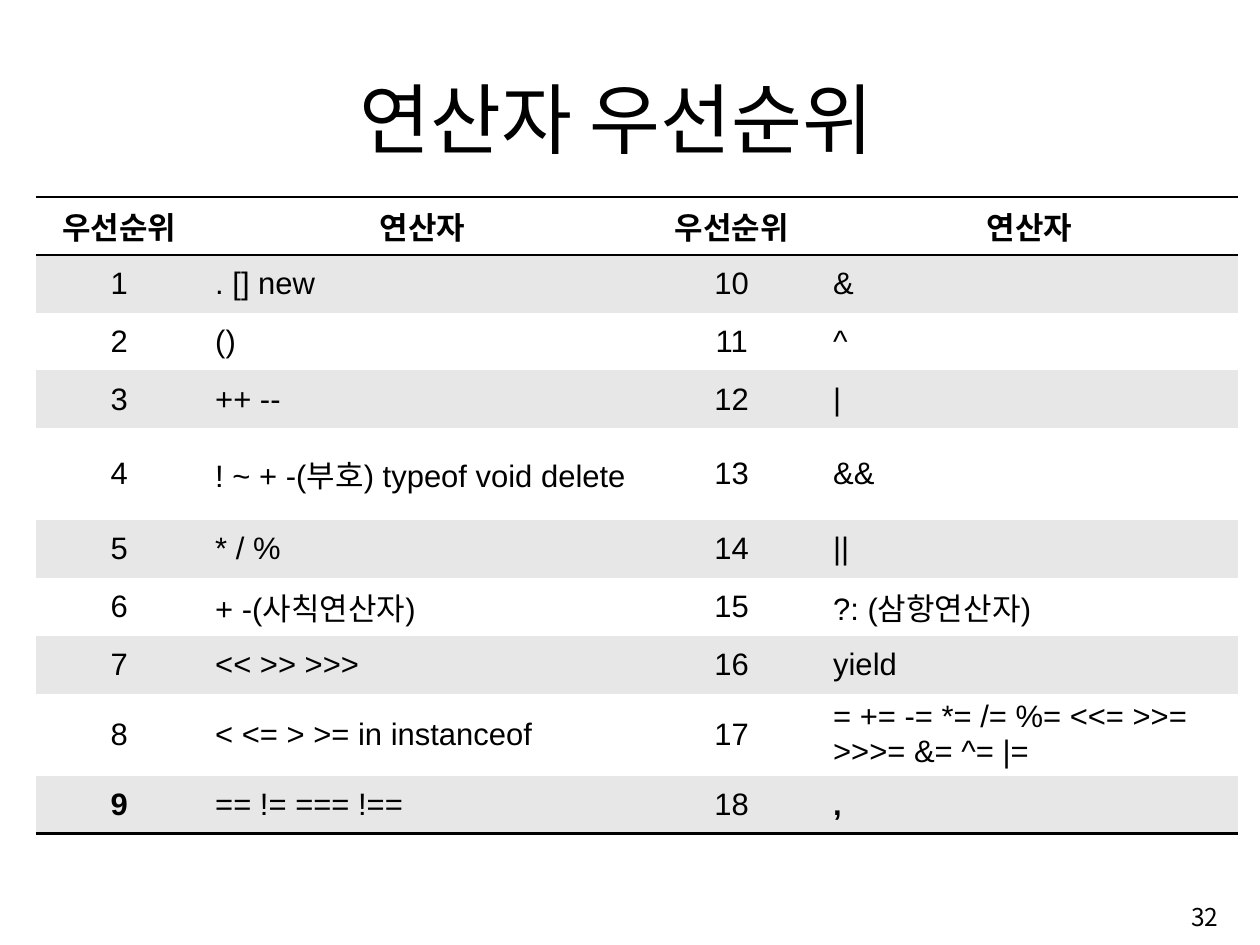
import lxml.etree
import pptx
import pptx.dml.color
import pptx.enum.text
import pptx.oxml.ns
import pptx.util

Pt = pptx.util.Pt
Align = pptx.enum.text.PP_ALIGN
Anchor = pptx.enum.text.MSO_ANCHOR
qn = pptx.oxml.ns.qn

KOREAN = "Noto Sans CJK KR"
BLACK, WHITE, GREY = "000000", "FFFFFF", "E7E7E7"
PLAIN_TABLE = "{2D5ABB26-0587-4C30-8999-92F81FD0307C}"

TITLE = "연산자 우선순위"
PAGE_NUMBER = "32"
HEADER = ["우선순위", "연산자"] * 2
OPERATORS = [
    ". [] new", "()", "++ --", "! ~ + -(부호) typeof void delete", "* / %",
    "+ -(사칙연산자)", "<< >> >>>", "< <= > >= in instanceof", "== != === !==",
    "&", "^", "|", "&&", "||",
    "?: (삼항연산자)", "yield", "= += -= *= /= %= <<= >>= >>>= &= ^= |=", ",",
]
BOLD_ENTRIES = {"9", ","}
COLUMN_WIDTHS = [123.8, 326.9, 131.8, 310.3]
ROW_HEIGHT = 42.9
TALL_ROWS = {4: 68.3, 8: 60.9}


def color(value):
    return pptx.dml.color.RGBColor.from_string(value)


def write(frame, text, size, align, latin=KOREAN, bold=False):
    para = frame.paragraphs[0]
    para.text = text
    para.alignment = align
    font = para.font
    font.size, font.bold = Pt(size), bold
    font.color.rgb = color(BLACK)
    font.name = latin
    defaults = para._p.pPr.find(qn("a:defRPr"))
    lxml.etree.SubElement(defaults, qn("a:ea"), typeface=KOREAN)


def add_borders(cell, sides):
    """Draw black 2 pt lines on the given sides, in the order T, B."""
    properties = cell._tc.get_or_add_tcPr()
    for index, side in enumerate(sides):
        line = lxml.etree.Element(qn(f"a:ln{side}"), w=str(Pt(2)))
        fill = lxml.etree.SubElement(line, qn("a:solidFill"))
        lxml.etree.SubElement(fill, qn("a:srgbClr"), val=BLACK)
        properties.insert(index, line)


def add_title(page):
    title = page.shapes.title
    title.left, title.top, title.width, title.height = map(Pt, (75.6, 43.9, 763.9, 77.8))
    frame = title.text_frame
    frame.auto_size = pptx.enum.text.MSO_AUTO_SIZE.NONE
    frame.vertical_anchor = Anchor.BOTTOM
    frame.margin_top = frame.margin_bottom = 0
    write(frame, TITLE, 57.2, Align.CENTER)


def add_operator_table(page):
    half = len(OPERATORS) // 2
    rows = [HEADER] + [
        [str(rank), OPERATORS[rank - 1], str(rank + half), OPERATORS[rank + half - 1]]
        for rank in range(1, half + 1)
    ]
    heights = [TALL_ROWS.get(index, ROW_HEIGHT) for index in range(len(rows))]
    holder = page.shapes.add_table(
        len(rows), len(HEADER), Pt(26.6), Pt(146.2),
        Pt(sum(COLUMN_WIDTHS)), Pt(sum(heights)))
    next(holder.element.iter(qn("a:tableStyleId"))).text = PLAIN_TABLE
    table = holder.table
    table.first_row = table.horz_banding = False
    for column, width in zip(table.columns, COLUMN_WIDTHS):
        column.width = Pt(width)
    for row_index, values in enumerate(rows):
        table.rows[row_index].height = Pt(heights[row_index])
        is_header = row_index == 0
        for column_index, value in enumerate(values):
            cell = table.cell(row_index, column_index)
            cell.vertical_anchor = Anchor.MIDDLE
            cell.margin_left = cell.margin_right = Pt(9.4)
            cell.margin_top = cell.margin_bottom = Pt(4.3)
            cell.fill.solid()
            cell.fill.fore_color.rgb = color(GREY if row_index % 2 else WHITE)
            centred = is_header or column_index % 2 == 0
            write(cell.text_frame, value, 23, Align.CENTER if centred else Align.LEFT,
                  "Arial", is_header or value in BOLD_ENTRIES)
            if is_header:
                add_borders(cell, "TB")
            elif row_index == half:
                add_borders(cell, "B")


def add_page_number(page):
    box = page.shapes.add_textbox(Pt(718.6), Pt(658.8), Pt(193), Pt(43.2))
    box.text_frame.word_wrap = True
    box.text_frame.vertical_anchor = Anchor.MIDDLE
    write(box.text_frame, PAGE_NUMBER, 18.2, Align.RIGHT)


def main():
    deck = pptx.Presentation()
    deck.slide_width, deck.slide_height = Pt(935.3), Pt(701.3)
    page = deck.slides.add_slide(deck.slide_layouts.get_by_name("Title Only"))
    add_title(page)
    add_operator_table(page)
    add_page_number(page)
    deck.save("out.pptx")


if __name__ == "__main__":
    main()
